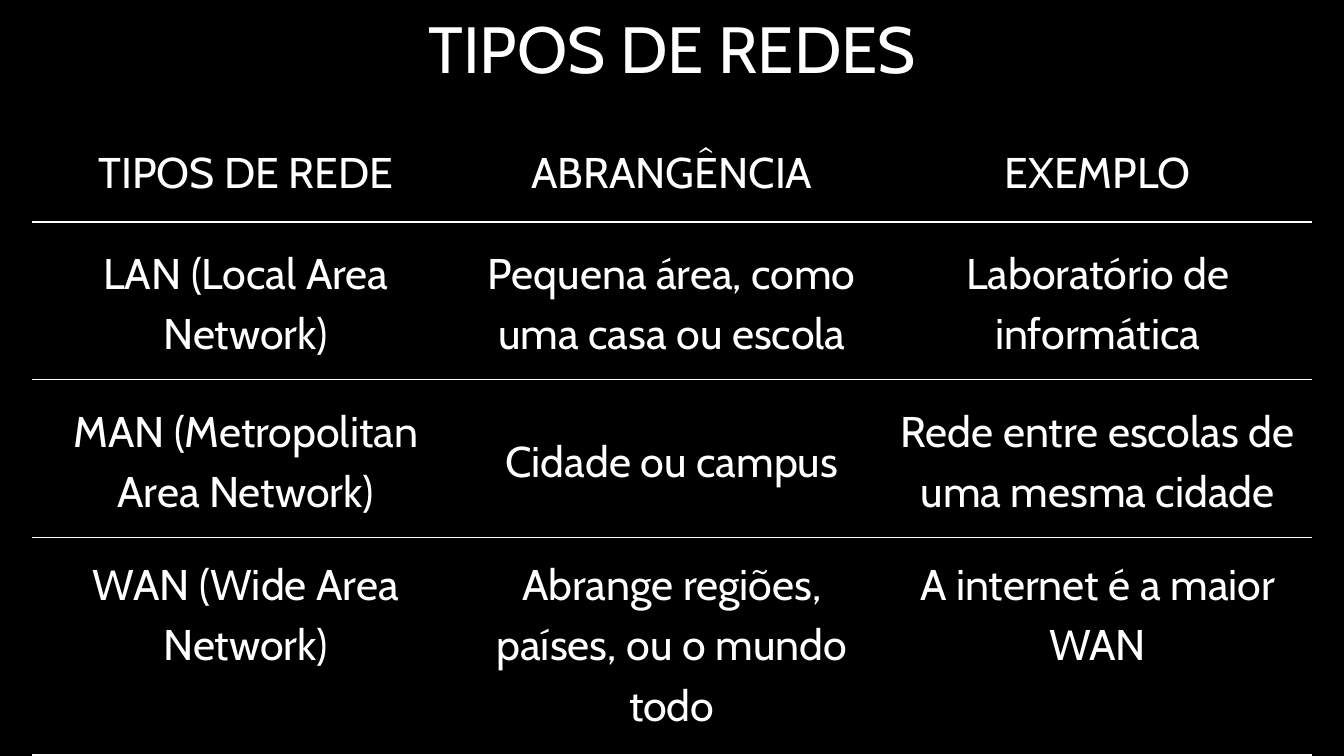
from lxml.etree import SubElement
from pptx import Presentation
from pptx.dml.color import RGBColor
from pptx.enum.text import MSO_ANCHOR, PP_ALIGN
from pptx.oxml.ns import qn
from pptx.util import Cm, Pt

COLORS = {"background": "000000", "text": "FFFFFF", "rule": "FFFFFF"}
FONT = "Cabin"

NETWORKS = [
    ["TIPOS DE REDE", "ABRANGÊNCIA", "EXEMPLO"],
    ["LAN (Local Area Network)", "Pequena área, como uma casa ou escola",
     "Laboratório de informática"],
    ["MAN (Metropolitan Area Network)", "Cidade ou campus",
     "Rede entre escolas de uma mesma cidade"],
    ["WAN (Wide Area Network)", "Abrange regiões, países, ou o mundo todo",
     "A internet é a maior WAN"],
]
ROW_HEIGHTS = [3.99, 5.97, 5.97, 8.23]
COLUMN_WIDTH = 16.1


def write(frame, text, *, size, spacing, color="text", align=PP_ALIGN.CENTER):
    """Put one formatted paragraph into a text frame."""
    frame.word_wrap = True
    paragraph = frame.paragraphs[0]
    paragraph.alignment = align
    paragraph.line_spacing = Pt(spacing)
    run = paragraph.add_run()
    run.text = text
    run.font.name = FONT
    run.font.size = Pt(size)
    run.font.color.rgb = RGBColor.from_string(COLORS[color])


class NetworkSlide:
    def __init__(self, slide):
        self.slide = slide
        self.border_width = Pt(2.25)
        self.cell_margin = Cm(0.53)
        background = slide.background.fill
        background.solid()
        background.fore_color.rgb = RGBColor.from_string(COLORS["background"])

    def title(self, text, left, top, width, height):
        box = self.slide.shapes.add_textbox(Cm(left), Cm(top), Cm(width), Cm(height))
        frame = box.text_frame
        frame.margin_left = frame.margin_right = 0
        frame.margin_top = frame.margin_bottom = 0
        write(frame, text, size=70, spacing=98)

    def border(self, cell, side, color):
        line = SubElement(cell._tc.get_or_add_tcPr(), qn(f"a:ln{side}"),
                          w=str(self.border_width))
        fill = SubElement(line, qn("a:solidFill"))
        SubElement(fill, qn("a:srgbClr"), val=COLORS[color])

    def cell(self, cell, text, anchor, top_color):
        cell.margin_left = cell.margin_right = self.cell_margin
        cell.margin_top = cell.margin_bottom = self.cell_margin
        cell.vertical_anchor = anchor
        write(cell.text_frame, text, size=46, spacing=64.4)
        # Borders come before the fill in the cell properties
        for side, color in (("L", "background"), ("R", "background"),
                            ("T", top_color), ("B", "rule")):
            self.border(cell, side, color)
        cell.fill.solid()
        cell.fill.fore_color.rgb = RGBColor.from_string(COLORS["background"])

    def table(self, rows, left, top):
        column_count = len(rows[0])
        table = self.slide.shapes.add_table(
            len(rows), column_count, Cm(left), Cm(top),
            Cm(COLUMN_WIDTH * column_count), Cm(sum(ROW_HEIGHTS))).table
        table.first_row = table.horz_banding = False
        for column in table.columns:
            column.width = Cm(COLUMN_WIDTH)
        for index, (texts, height) in enumerate(zip(rows, ROW_HEIGHTS)):
            table.rows[index].height = Cm(height)
            is_last = index == len(rows) - 1
            anchor = MSO_ANCHOR.TOP if is_last else MSO_ANCHOR.MIDDLE
            top_color = "rule" if index else "background"
            for column, text in enumerate(texts):
                self.cell(table.cell(index, column), text, anchor, top_color)


def main():
    presentation = Presentation()
    presentation.slide_width = Cm(50.8)
    presentation.slide_height = Cm(28.58)
    blank = presentation.slide_layouts[6]
    page = NetworkSlide(presentation.slides.add_slide(blank))

    # Comparison of network types
    page.table(NETWORKS, 1.24, 4.39)

    # Heading
    page.title("TIPOS DE REDES", 11.46, -0.2, 27.89, 3.71)

    presentation.save("out.pptx")


if __name__ == "__main__":
    main()
